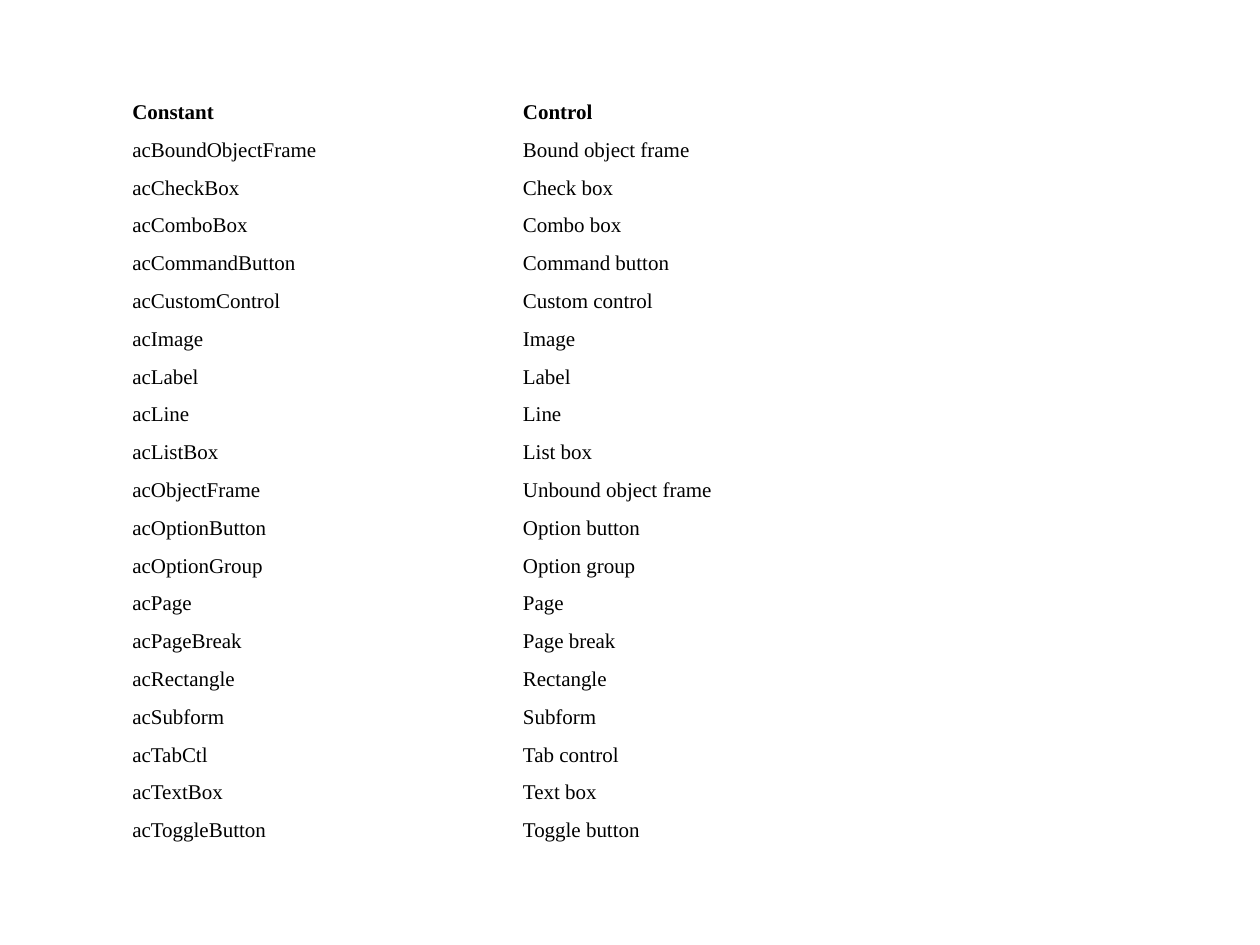
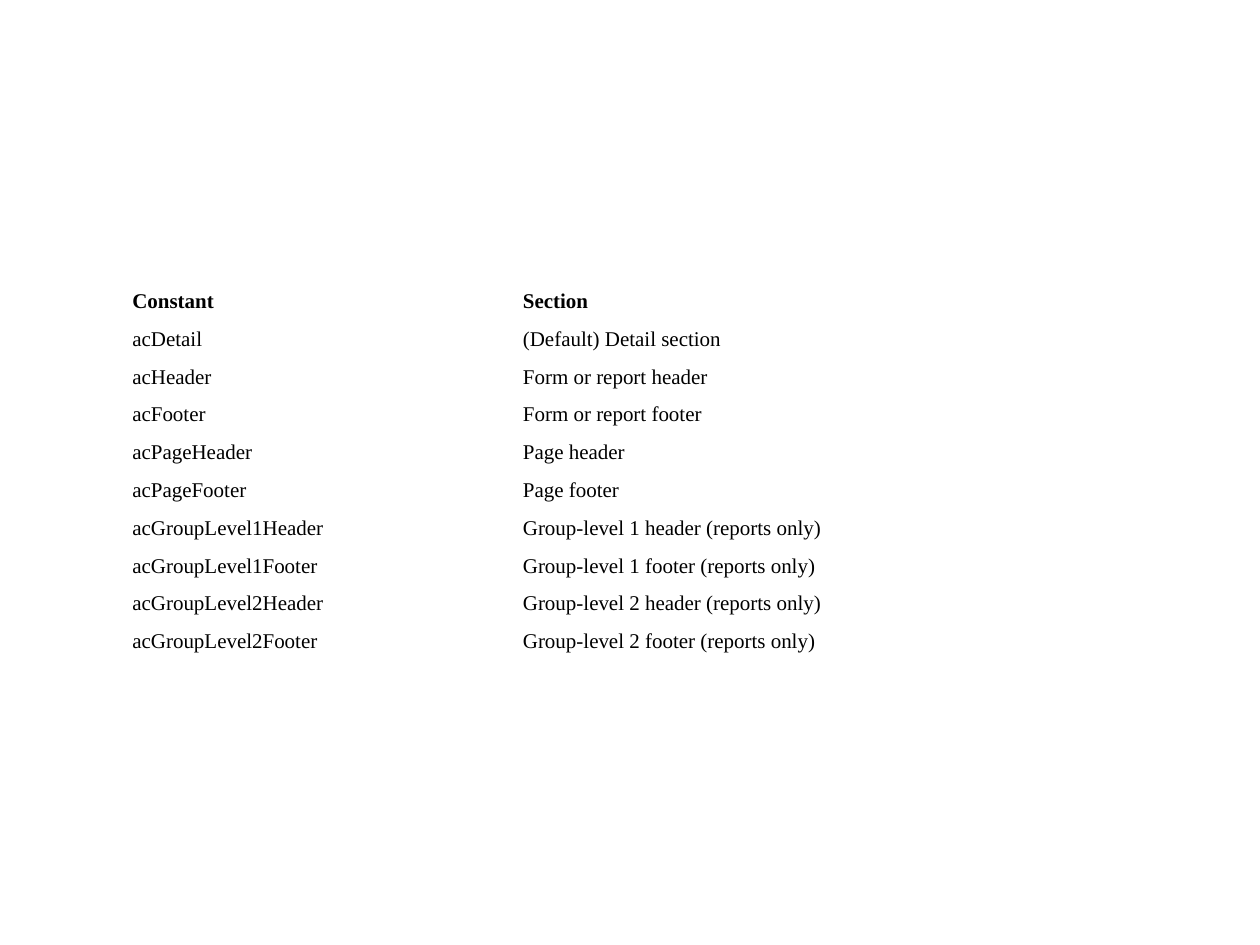
from pptx import Presentation
from pptx.dml.color import RGBColor
from pptx.enum.text import MSO_ANCHOR, PP_ALIGN
from pptx.util import Emu, Pt

# Content: the first row of each table is its header
CONTROLS = [
    ("Constant", "Control"),
    ("acBoundObjectFrame", "Bound object frame"),
    ("acCheckBox", "Check box"),
    ("acComboBox", "Combo box"),
    ("acCommandButton", "Command button"),
    ("acCustomControl", "Custom control"),
    ("acImage", "Image"),
    ("acLabel", "Label"),
    ("acLine", "Line"),
    ("acListBox", "List box"),
    ("acObjectFrame", "Unbound object frame"),
    ("acOptionButton", "Option button"),
    ("acOptionGroup", "Option group"),
    ("acPage", "Page"),
    ("acPageBreak", "Page break"),
    ("acRectangle", "Rectangle"),
    ("acSubform", "Subform"),
    ("acTabCtl", "Tab control"),
    ("acTextBox", "Text box"),
    ("acToggleButton", "Toggle button"),
]
SECTIONS = [
    ("Constant", "Section"),
    ("acDetail", "(Default) Detail section"),
    ("acHeader", "Form or report header"),
    ("acFooter", "Form or report footer"),
    ("acPageHeader", "Page header"),
    ("acPageFooter", "Page footer"),
    ("acGroupLevel1Header", "Group-level 1 header (reports only)"),
    ("acGroupLevel1Footer", "Group-level 1 footer (reports only)"),
    ("acGroupLevel2Header", "Group-level 2 header (reports only)"),
    ("acGroupLevel2Footer", "Group-level 2 footer (reports only)"),
]

# Shared style and layout, 100 px to the inch
COLORS = {"text": "000000", "background": "FFFFFF"}
FONT = "Times New Roman"
SLIDE_W, SLIDE_H = 1000, 750
COLUMNS = (310, 500)
ROW_H = 30
PAD_X, PAD_Y = 10, 5


def px(n):
    return Emu(n * 9144)


def put_text(tf, text, size=12, bold=False, color="text", align=PP_ALIGN.JUSTIFY):
    p = tf.paragraphs[0]
    p.alignment = align
    r = p.add_run()
    r.text = text
    r.font.name = FONT
    r.font.size = Pt(size)
    r.font.bold = bold
    r.font.color.rgb = RGBColor.from_string(COLORS[color])


def add_constants_slide(prs, rows):
    s = prs.slides.add_slide(prs.slide_layouts[6])
    bg = s.background.fill
    bg.solid()
    bg.fore_color.rgb = RGBColor.from_string(COLORS["background"])

    # Table centred on the slide
    width, height = sum(COLUMNS), ROW_H * len(rows)
    left, top = (SLIDE_W - width) // 2, (SLIDE_H - height) // 2
    table = s.shapes.add_table(len(rows), len(COLUMNS), px(left), px(top),
                               px(width), px(height)).table
    table.horz_banding = False
    for column, w in zip(table.columns, COLUMNS):
        column.width = px(w)

    # Cells
    for i, row in enumerate(rows):
        table.rows[i].height = px(ROW_H)
        for j, text in enumerate(row):
            cell = table.cell(i, j)
            cell.fill.background()
            cell.margin_left = cell.margin_right = px(PAD_X)
            cell.margin_top = cell.margin_bottom = px(PAD_Y)
            cell.vertical_anchor = MSO_ANCHOR.TOP
            put_text(cell.text_frame, text, bold=i == 0)


def main():
    prs = Presentation()
    prs.slide_width, prs.slide_height = px(SLIDE_W), px(SLIDE_H)
    for rows in (CONTROLS, SECTIONS):
        add_constants_slide(prs, rows)
    prs.save("out.pptx")


if __name__ == "__main__":
    main()
